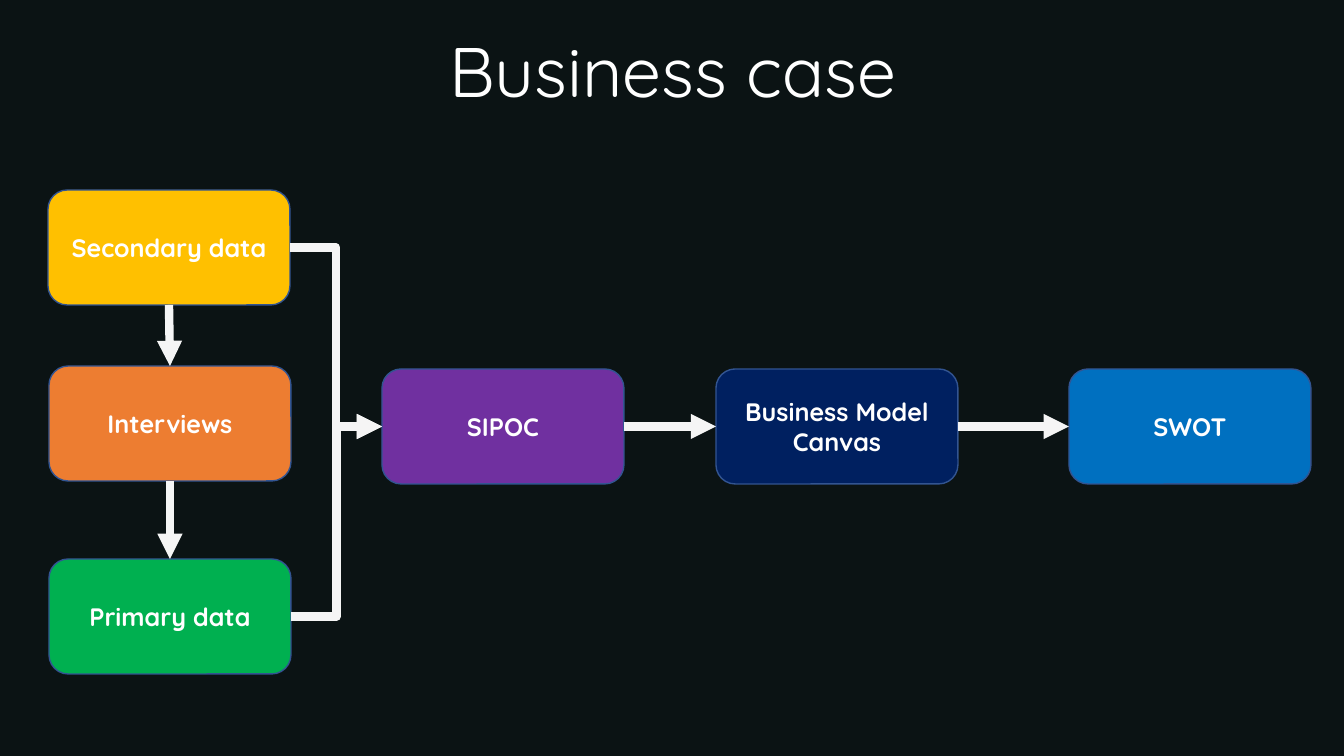
from lxml import etree
from pptx import Presentation
from pptx import util as u
from pptx.dml.color import RGBColor
from pptx.enum import shapes, text
from pptx.oxml import ns

EMU_PER_PX = 914400 / 100.8
FONT = "Quicksand"
COLOURS = {
    "background": "0B1314",
    "white": "FFFFFF",
    "arrow": "F5F5F5",
    "outline": "325491",
    "yellow": "FFC000",
    "orange": "ED7D31",
    "green": "00B050",
    "purple": "7030A0",
    "navy": "002060",
    "blue": "0070C0",
}
BOX_WIDTH, BOX_HEIGHT = 242, 115
FLOW_TOP = 369
BOXES = [
    ("Secondary data", 48, 190, "yellow"),
    ("Interviews", 49, 366, "orange"),
    ("Primary data", 49, 559, "green"),
    ("SIPOC", 382, FLOW_TOP, "purple"),
    ("Business Model Canvas", 716, FLOW_TOP, "navy"),
    ("SWOT", 1069, FLOW_TOP, "blue"),
]
TOP, LEFT, BOTTOM, RIGHT = range(4)
STRAIGHT = shapes.MSO_CONNECTOR.STRAIGHT
ELBOW = shapes.MSO_CONNECTOR.ELBOW
ARROWS = [
    (STRAIGHT, "Secondary data", BOTTOM, "Interviews", TOP),
    (STRAIGHT, "Interviews", BOTTOM, "Primary data", TOP),
    (ELBOW, "Secondary data", RIGHT, "SIPOC", LEFT),
    (ELBOW, "Primary data", RIGHT, "SIPOC", LEFT),
    (STRAIGHT, "SIPOC", RIGHT, "Business Model Canvas", LEFT),
    (STRAIGHT, "Business Model Canvas", RIGHT, "SWOT", LEFT),
]


def px(length):
    return u.Emu(round(length * EMU_PER_PX))


def colour(name):
    return RGBColor.from_string(COLOURS[name])


def set_attributes(target, values):
    for name, value in values.items():
        setattr(target, name, value)


def write_text(shape, words, size, bold, line_spacing):
    frame = shape.text_frame
    frame.text = words
    set_attributes(frame, {
        "word_wrap": True,
        "auto_size": text.MSO_AUTO_SIZE.NONE,
        "vertical_anchor": text.MSO_ANCHOR.MIDDLE,
    })
    paragraph = frame.paragraphs[0]
    set_attributes(paragraph, {
        "alignment": text.PP_ALIGN.CENTER,
        "line_spacing": line_spacing,
        "space_before": u.Pt(0),
    })
    font = paragraph.runs[0].font
    set_attributes(font, {"name": FONT, "size": u.Pt(size), "bold": bold})
    font.color.rgb = colour("white")


def place_title(slide, words):
    title = slide.shapes.title
    set_attributes(title, {
        "left": px(35), "top": px(37), "width": px(1276), "height": px(80),
    })
    write_text(title, words, 50, False, 0.8)


def add_box(slide, words, left, top, fill):
    box = slide.shapes.add_shape(
        shapes.MSO_SHAPE.ROUNDED_RECTANGLE,
        px(left), px(top), px(BOX_WIDTH), px(BOX_HEIGHT))
    box.shadow.inherit = False
    box.fill.solid()
    box.fill.fore_color.rgb = colour(fill)
    box.line.color.rgb = colour("outline")
    box.line.width = u.Pt(1)
    write_text(box, words, 18, True, 1.0)
    return box


def add_arrow(slide, kind, start, start_side, end, end_side):
    arrow = slide.shapes.add_connector(kind, 0, 0, 0, 0)
    arrow.begin_connect(start, start_side)
    arrow.end_connect(end, end_side)
    arrow.line.color.rgb = colour("arrow")
    arrow.line.width = u.Pt(6)
    etree.SubElement(arrow.line._get_or_add_ln(), ns.qn("a:tailEnd"), type="triangle")
    etree.SubElement(arrow._element.spPr, ns.qn("a:effectLst"))


def main():
    presentation = Presentation()
    presentation.slide_width = px(1344)
    presentation.slide_height = px(756)
    slide = presentation.slides.add_slide(presentation.slide_layouts[5])
    slide.background.fill.solid()
    slide.background.fill.fore_color.rgb = colour("background")
    place_title(slide, "Business case")
    boxes = {box[0]: add_box(slide, *box) for box in BOXES}
    for kind, start, start_side, end, end_side in ARROWS:
        add_arrow(slide, kind, boxes[start], start_side, boxes[end], end_side)
    presentation.save("out.pptx")


if __name__ == "__main__":
    main()
